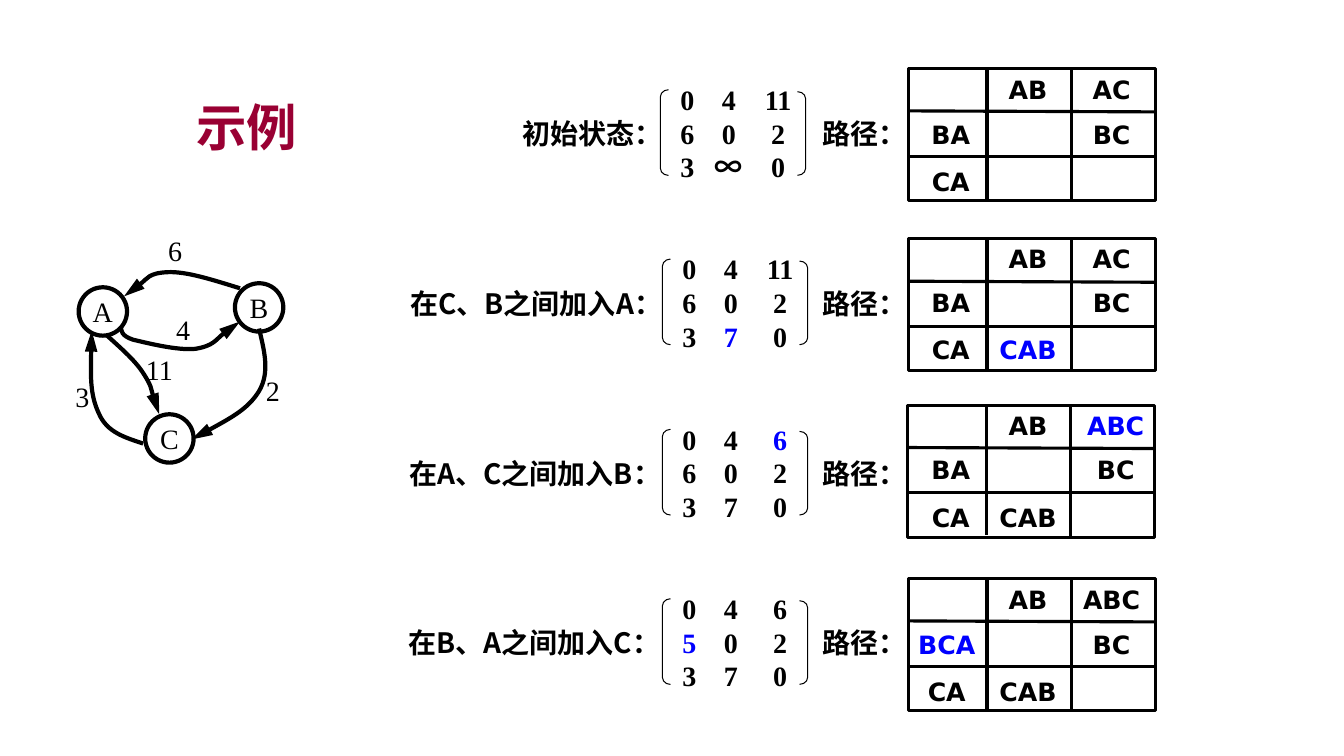
from lxml import etree
from pptx import Presentation
from pptx.dml.color import RGBColor
from pptx.enum import shapes, text
from pptx.oxml import ns
from pptx.util import Inches, Pt

BLACK = RGBColor(0, 0, 0)
WHITE = RGBColor(255, 255, 255)
BLUE = RGBColor(0, 0, 255)
CRIMSON = RGBColor(0x99, 0, 0x33)
SERIF, SANS, CHINESE = "Times New Roman", "DejaVu Sans", "Noto Sans CJK SC"

TITLE = "示例"
PATH_LABEL = "路径："
STATES = [
    {"label": "初始状态：", "label_box": (5.08, 1.65), "top": 0.77, "matrix_left": 6.65,
     "grid": (9.01, 0.68), "changed": None,
     "matrix": [("0", "4", "11"), ("6", "0", "2"), ("3", "∞", "0")],
     "paths": [("", "AB", "AC"), ("BA", "", "BC"), ("CA", "", "")],
     "words_top": 0.65, "inset": 0.09, "columns": [(9.06, 0.74), (9.8, 0.79), (10.67, 0.71)]},
    {"label": "在C、B之间加入A：", "label_box": (3.97, 2.87), "top": 2.45, "matrix_left": 6.67,
     "grid": (9.01, 2.37), "changed": (2, 1),
     "matrix": [("0", "4", "11"), ("6", "0", "2"), ("3", "7", "0")],
     "paths": [("", "AB", "AC"), ("BA", "", "BC"), ("CA", "CAB", "")],
     "words_top": 2.32, "inset": 0.09, "columns": [(9.06, 0.74), (9.8, 0.79), (10.67, 0.71)]},
    {"label": "在A、C之间加入B：", "label_box": (3.96, 2.87), "top": 4.14, "matrix_left": 6.67,
     "grid": (9, 4.02), "changed": (0, 2),
     "matrix": [("0", "4", "6"), ("6", "0", "2"), ("3", "7", "0")],
     "paths": [("", "AB", "ABC"), ("BA", "", "BC"), ("CA", "CAB", "")],
     "words_top": 4.02, "inset": 0.05, "columns": [(9.06, 0.74), (9.8, 0.79), (10.67, 0.79)]},
    {"label": "在B、A之间加入C：", "label_box": (3.95, 2.87), "top": 5.82, "matrix_left": 6.67,
     "grid": (9.01, 5.74), "changed": (1, 0),
     "matrix": [("0", "4", "6"), ("5", "0", "2"), ("3", "7", "0")],
     "paths": [("", "AB", "ABC"), ("BCA", "", "BC"), ("CA", "CAB", "")],
     "words_top": 5.69, "inset": 0.11, "columns": [(8.98, 0.82), (9.8, 0.79), (10.59, 0.87)]},
]
MATRIX_TABS = (0.48, 0.97)
GRID_WIDTH, GRID_HEIGHT = 2.45, 1.31
GRID_RULES = [
    (0, 0.42, 2.44, 0.43),
    (0.02, 0.87, 2.44, 0.87),
    (0.78, 0, 0.78, 1.29),
    (1.62, 0, 1.62, 1.31),
]
WORD_ROWS = [(0, 0.39), (0.44, 0.43), (0.91, 0.43)]

BACK_NODES = [("C", 1.44, 4.11), ("B", 2.33, 2.81)]
FRONT_NODES = [("A", 0.78, 2.85)]
EDGES = [
    [(1.2, 3.23), (1.2, 3.28), (1.2, 3.33), (1.32, 3.37), (1.45, 3.4), (1.76, 3.48), (1.94, 3.46),
     (2.12, 3.43), (2.31, 3.21), (2.38, 3.19)],
    [(2.38, 2.86), (2.12, 2.78), (1.85, 2.69), (1.66, 2.7), (1.47, 2.71), (1.31, 2.9), (1.23, 2.94)],
    [(1.02, 3.29), (1.17, 3.43), (1.33, 3.56), (1.42, 3.7), (1.51, 3.84), (1.55, 4.05), (1.58, 4.11)],
    [(1.42, 4.4), (1.24, 4.34), (1.06, 4.29), (0.98, 4.1), (0.89, 3.91), (0.9, 3.6), (0.91, 3.28)],
    [(2.57, 3.26), (2.62, 3.48), (2.68, 3.69), (2.57, 3.88), (2.46, 4.06), (2.18, 4.21), (1.9, 4.36)],
]
WEIGHTS = [("2", 2.54, 3.66), ("6", 1.57, 2.27), ("4", 1.65, 3.05), ("3", 0.65, 3.72), ("11", 1.35, 3.45)]


def add_run(paragraph, words, size, face, color=BLACK, bold=True):
    run = paragraph.add_run()
    run.text = words
    for name, value in {"size": Pt(size), "name": face, "bold": bold}.items():
        setattr(run.font, name, value)
    run.font.color.rgb = color
    east_asian = etree.SubElement(run.font._element, ns.qn("a:ea"))
    east_asian.set("typeface", CHINESE)


def add_text_box(slide, left, top, width, height):
    frame = slide.shapes.add_textbox(*map(Inches, (left, top, width, height))).text_frame
    frame.word_wrap = True
    return frame


def add_label(slide, box, words, size=20, face=CHINESE, **style):
    frame = add_text_box(slide, *box)
    add_run(frame.paragraphs[0], words, size, face, **style)
    return frame


def outline(shape, width):
    shape.shadow.inherit = False
    shape.line.color.rgb = BLACK
    shape.line.width = Pt(width)


def add_nodes(slide, nodes):
    for name, left, top in nodes:
        node = slide.shapes.add_shape(shapes.MSO_SHAPE.OVAL, *map(Inches, (left, top, 0.48, 0.48)))
        outline(node, 3)
        node.fill.solid()
        node.fill.fore_color.rgb = WHITE
        frame = node.text_frame
        frame.word_wrap = False
        frame.vertical_anchor = text.MSO_ANCHOR.MIDDLE
        frame.paragraphs[0].alignment = text.PP_ALIGN.CENTER
        add_run(frame.paragraphs[0], name, 20, SERIF, bold=False)


def add_edge(slide, controls):
    points = [(Inches(x), Inches(y)) for x, y in controls]
    builder = slide.shapes.build_freeform(*points[0])
    builder.add_line_segments(points[1:], close=False)
    edge = builder.convert_to_shape()
    outline(edge, 3)
    edge.fill.background()
    segments = list(edge._element.iter(ns.qn("a:lnTo")))
    for start in range(0, len(segments), 3):
        curve = etree.Element(ns.qn("a:cubicBezTo"))
        segments[start].addprevious(curve)
        for segment in segments[start:start + 3]:
            curve.append(segment[0])
            segment.getparent().remove(segment)
    arrow = etree.SubElement(edge.line._get_or_add_ln(), ns.qn("a:tailEnd"))
    for name, value in {"type": "triangle", "w": "med", "len": "lg"}.items():
        arrow.set(name, value)


def add_matrix(slide, state):
    left, top = state["matrix_left"], state["top"]
    frame = add_text_box(slide, left, top, 1.33, 1.1)
    for row, values in enumerate(state["matrix"]):
        paragraph = frame.paragraphs[0] if row == 0 else frame.add_paragraph()
        tabs = etree.SubElement(paragraph._p.get_or_add_pPr(), ns.qn("a:tabLst"))
        for position in MATRIX_TABS:
            tab = etree.SubElement(tabs, ns.qn("a:tab"))
            tab.set("pos", str(Inches(position)))
            tab.set("algn", "ctr")
        for column, value in enumerate(values):
            color = BLUE if (row, column) == state["changed"] else BLACK
            face = CHINESE if value == "∞" else SERIF
            add_run(paragraph, "\t" + value if column else value, 20, face, color)
    for kind, x, y, height, bend in (
        (shapes.MSO_SHAPE.LEFT_BRACKET, left - 0.1, top + 0.12, 0.85, 0.87),
        (shapes.MSO_SHAPE.RIGHT_BRACKET, left + 1.26, top + 0.14, 0.83, 0.85),
    ):
        bracket = slide.shapes.add_shape(kind, *map(Inches, (x, y, 0.08, height)))
        bracket.adjustments[0] = bend
        bracket.fill.background()
        outline(bracket, 0.75)


def add_path_grid(slide, state):
    left, top = state["grid"]
    frame_box = slide.shapes.add_shape(
        shapes.MSO_SHAPE.RECTANGLE, *map(Inches, (left, top, GRID_WIDTH, GRID_HEIGHT)))
    frame_box.fill.background()
    outline(frame_box, 2.25)
    for x1, y1, x2, y2 in GRID_RULES:
        ends = map(Inches, (left + x1, top + y1, left + x2, top + y2))
        rule = slide.shapes.add_connector(shapes.MSO_CONNECTOR.STRAIGHT, *ends)
        rule.line.color.rgb = BLACK
        rule.line.width = Pt(2.25)
        etree.SubElement(rule._element.spPr, ns.qn("a:effectLst"))
    for row, (values, (offset, height)) in enumerate(zip(state["paths"], WORD_ROWS)):
        for column, (value, (x, width)) in enumerate(zip(values, state["columns"])):
            if value:
                color = BLUE if (row, column) == state["changed"] else BLACK
                box = (x, state["words_top"] + offset, width, height)
                frame = add_label(slide, box, value, 18, SANS, color=color)
                frame.margin_top = Inches(state["inset"])
                frame.paragraphs[0].alignment = text.PP_ALIGN.CENTER


def main():
    presentation = Presentation()
    presentation.slide_width, presentation.slide_height = Inches(13.33), Inches(7.5)
    slide = presentation.slides.add_slide(presentation.slide_layouts[6])

    title = add_label(slide, (0.83, 0.88, 3.23, 0.75), TITLE, 36, color=CRIMSON)
    title.vertical_anchor = text.MSO_ANCHOR.MIDDLE
    title.paragraphs[0].alignment = text.PP_ALIGN.CENTER

    add_nodes(slide, BACK_NODES)
    for controls in EDGES:
        add_edge(slide, controls)
    for weight, left, top in WEIGHTS:
        add_label(slide, (left, top, 0.22 + 0.14 * len(weight), 0.43), weight, face=SERIF, bold=False)
    add_nodes(slide, FRONT_NODES)

    for state in STATES:
        label_top = state["top"] + 0.34
        label_left, label_width = state["label_box"]
        add_matrix(slide, state)
        add_label(slide, (label_left, label_top, label_width, 0.43), state["label"])
        add_label(slide, (8.06, label_top, 1.05, 0.43), PATH_LABEL, face=SERIF)
        add_path_grid(slide, state)

    presentation.save("out.pptx")


if __name__ == "__main__":
    main()
